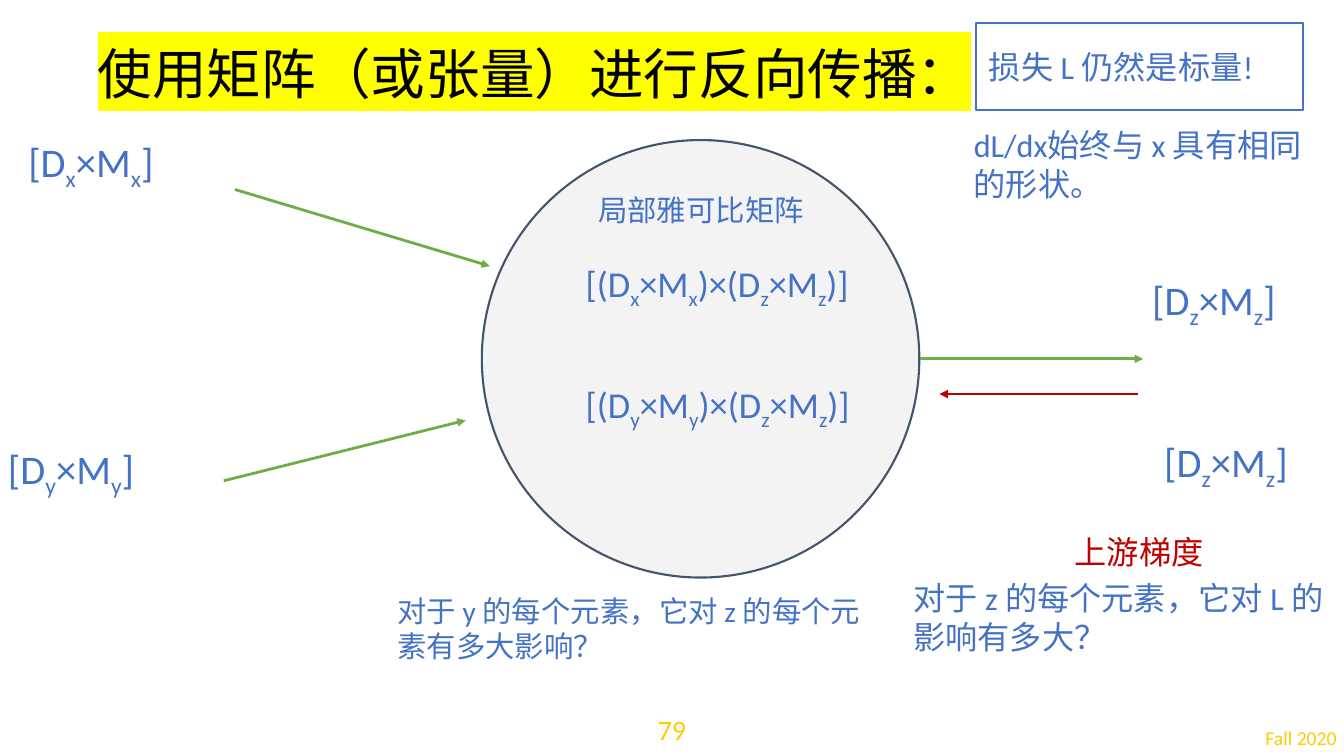
from dataclasses import dataclass

from lxml import etree
from pptx import Presentation, util as u
from pptx.dml.color import RGBColor
from pptx.enum import lang, shapes, text
from pptx.oxml import ns


@dataclass(frozen=True)
class Theme:
    font: str = "Calibri"
    black: str = "000000"
    blue: str = "4472C4"
    red: str = "C00000"
    green: str = "70AD47"
    gold: str = "FFCB05"
    marker: str = "FFFF00"
    node_fill: str = "F3F3F3"
    node_line: str = "44546A"
    title: int = 39
    dims: int = 29
    jacobian: int = 26
    note: int = 23
    small: int = 21
    number: int = 20
    footer: int = 14


T = Theme()
W, H = 13.33, 7.5

# Content: places are percent of slide width and height; "_" makes the next letter a subscript
TITLE = "使用矩阵（或张量）进行反向传播："
TITLE_BOX = (6.9, 5.2, 86.25, 10)
FOOTERS = [  # text, box, size, alignment
    ("Fall 2020", (79.95, 95.47, 19.88, 4.27), T.footer, "RIGHT"),
    ("79", (46, 93.6, 8, 5.6), T.number, "CENTER"),
]
NODE = (35.85, 18.53, 32.55, 57.87)
ARROWS = [  # from, to, colour
    ((16.65, 63.6), (34.65, 55.6), T.green),
    ((17.48, 25.07), (36.45, 35.2), T.green),
    ((68.48, 47.47), (85.05, 47.47), T.green),
    ((84.68, 52.13), (69.9, 52.13), T.red),
]
DIMS_SIZE = (13.58, 10.67)
DIMS = [
    ("[D_x×M_x]", (1.13, 16.4)),
    ("[D_y×M_y]", (-0.38, 56.93)),
    ("[D_z×M_z]", (84.75, 34.67)),
    ("[D_z×M_z]", (85.65, 56)),
]
JACOBIAN_LEFT, JACOBIAN_TOP, JACOBIAN_STEP = 42.6, 32.8, 16
JACOBIAN_SIZE = (27.75, 10)
JACOBIANS = [f"[(D_{v}×M_{v})×(D_z×M_z)]" for v in "xy"]
LOSS = "损失 L 仍然是标量!"
LOSS_BOX = (72.6, 3.07, 24.38, 11.47)
NOTES = [  # text, box, size, colour, alignment
    ("局部雅可比矩阵", (42, 23.75, 20.33, 8), T.small, T.blue, "CENTER"),
    ("对于 y 的每个元素，它对 z 的每个元素有多大影响？",
     (28.58, 76.6, 37.73, 13.07), T.small, T.blue, "LEFT"),
    ("dL/dx始终与 x 具有相同的形状。", (71.48, 14.8, 26.63, 13.87), T.note, T.blue, "LEFT"),
    ("上游梯度", (70.28, 68.53, 28.95, 8.8), T.note, T.red, "CENTER"),
    ("对于 z 的每个元素，它对 L 的影响有多大？",
     (66.98, 74.67, 32.55, 13.87), T.note, T.blue, "LEFT"),
]


# Helpers
def rgb(value):
    return RGBColor.from_string(value)


def place(*percents):
    """Turn alternating x and y percents into lengths."""
    return [u.Inches(v * (H if i % 2 else W) / 100) for i, v in enumerate(percents)]


def write(sp, words, size, color, align="LEFT", anchor="MIDDLE", inset=0.13):
    tf = sp.text_frame
    tf.word_wrap = True
    tf.vertical_anchor = text.MSO_ANCHOR[anchor]
    tf.margin_left = tf.margin_right = u.Inches(inset)
    tf.margin_top = tf.margin_bottom = u.Inches(inset)
    p = tf.paragraphs[0]
    p.alignment = text.PP_ALIGN[align]
    first, *rest = words.split("_")
    parts = [(first, False)]
    for part in rest:
        parts += [(part[0], True), (part[1:], False)]
    for part, subscript in parts:
        r = p.add_run()
        r.text = part
        r.font.name, r.font.size = T.font, u.Pt(size)
        r.font.color.rgb = rgb(color)
        r.font.language_id = lang.MSO_LANGUAGE_ID.SIMPLIFIED_CHINESE
        if subscript:
            r._r.get_or_add_rPr().set("baseline", "-25000")
    return p


def add_text(box, *args, **kwargs):
    return write(s.shapes.add_textbox(*place(*box)), *args, **kwargs)


def add_shape(kind, box, line):
    sp = s.shapes.add_shape(kind, *place(*box))
    sp.shadow.inherit = False
    sp.fill.background()
    sp.line.color.rgb, sp.line.width = rgb(line), u.Pt(1.5)
    return sp


prs = Presentation()
prs.slide_width, prs.slide_height = u.Inches(W), u.Inches(H)
s = prs.slides.add_slide(prs.slide_layouts[6])

# Title with marker highlight, footers
p = add_text(TITLE_BOX, TITLE, T.title, T.black, inset=0.05)
p.line_spacing = 0.9
highlight = etree.Element(ns.qn("a:highlight"))
etree.SubElement(highlight, ns.qn("a:srgbClr"), val=T.marker)
p.runs[0]._r.rPr.find(ns.qn("a:solidFill")).addnext(highlight)
for words, box, size, align in FOOTERS:
    add_text(box, words, size, T.gold, align, inset=0.05)

# Node and the arrows around it
node = add_shape(shapes.MSO_SHAPE.OVAL, NODE, T.node_line)
node.fill.solid()
node.fill.fore_color.rgb = rgb(T.node_fill)
for start, end, color in ARROWS:
    arrow = s.shapes.add_connector(shapes.MSO_CONNECTOR.STRAIGHT, *place(*start, *end))
    arrow.line.color.rgb, arrow.line.width = rgb(color), u.Pt(2)
    etree.SubElement(arrow.line._get_or_add_ln(), ns.qn("a:tailEnd"), type="triangle")
    etree.SubElement(arrow._element.spPr, ns.qn("a:effectLst"))

# Dimensions, Jacobians and notes
for words, corner in DIMS:
    add_text(corner + DIMS_SIZE, words, T.dims, T.blue, anchor="TOP")
for i, words in enumerate(JACOBIANS):
    corner = (JACOBIAN_LEFT, JACOBIAN_TOP + i * JACOBIAN_STEP)
    add_text(corner + JACOBIAN_SIZE, words, T.jacobian, T.blue, anchor="TOP")
write(add_shape(shapes.MSO_SHAPE.RECTANGLE, LOSS_BOX, T.blue), LOSS, T.note, T.blue)
for words, box, size, color, align in NOTES:
    add_text(box, words, size, color, align)

prs.save("out.pptx")
